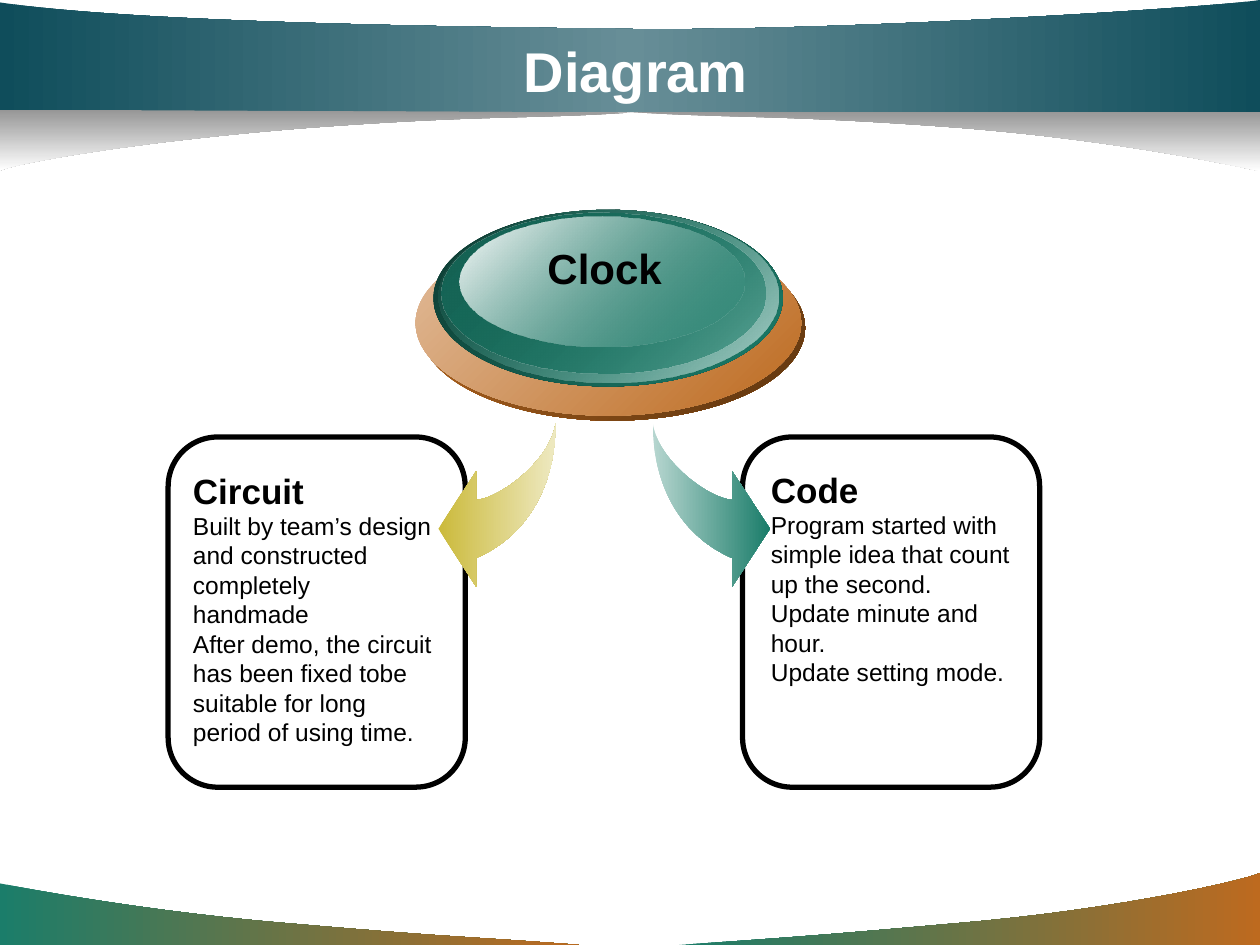
from lxml import etree
from pptx import Presentation
from pptx import util as u
from pptx.dml.color import RGBColor
from pptx.enum import shapes, text
from pptx.oxml import ns

WHITE = RGBColor(0xFF, 0xFF, 0xFF)
BLACK = RGBColor(0, 0, 0)
GRAY = RGBColor(0x96, 0x96, 0x96)
NAVY = RGBColor(0x0F, 0x4D, 0x5B)
STEEL = RGBColor(0x67, 0x8E, 0x97)
GREEN = RGBColor(0x1B, 0x7D, 0x6A)
PINE = RGBColor(0x0D, 0x3A, 0x31)
MOSS = RGBColor(0x15, 0x63, 0x54)
MINT = RGBColor(0xAF, 0xD2, 0xCB)
FOAM = RGBColor(0xB7, 0xD6, 0xD0)
RUST = RGBColor(0xBD, 0x6A, 0x1F)
BROWN = RGBColor(0x5C, 0x34, 0x0F)
SAND = RGBColor(0xE2, 0xBD, 0x9C)
GOLD = RGBColor(0xCB, 0xBA, 0x3B)
CREAM = RGBColor(0xEE, 0xE9, 0xC1)

WIDE, HIGH = 25.4, 19.05


class Painter:
    font = "Arial"

    def __init__(self, slide):
        self.shapes = slide.shapes

    def blend(self, shape, stops, angle):
        shape.shadow.inherit = False
        shape.line.fill.background()
        shape.fill.gradient()
        grad = shape.fill._xPr.find(ns.qn("a:gradFill"))
        grad.find(ns.qn("a:lin")).set("ang", str(angle * 60000))
        chain = grad.find(ns.qn("a:gsLst"))
        for old in list(chain):
            chain.remove(old)
        for index, (color, alpha) in enumerate(stops):
            place = 100000 * index // (len(stops) - 1)
            stop = etree.SubElement(chain, ns.qn("a:gs"), pos=str(place))
            tint = etree.SubElement(stop, ns.qn("a:srgbClr"), val=str(color))
            if alpha < 100:
                etree.SubElement(tint, ns.qn("a:alpha"), val=str(alpha * 1000))

    def curve(self, parts, colors, angle=0):
        dots = [(u.Cm(x), u.Cm(y)) for part in parts
                for x, y in zip(part[::2], part[1::2])]
        pen = self.shapes.build_freeform(*dots[0], scale=1.0)
        pen.add_line_segments(dots[1:], close=True)
        shape = pen.convert_to_shape()
        lines = iter(list(shape._element.iter(ns.qn("a:lnTo"))))
        for part in parts[1:]:
            line = next(lines)
            if len(part) == 6:
                bend = etree.Element(ns.qn("a:cubicBezTo"))
                line.addprevious(bend)
                for node in (line, next(lines), next(lines)):
                    bend.append(node[0])
                    node.getparent().remove(node)
        self.blend(shape, [(c, 100) for c in colors], angle)

    def preset(self, kind, spot):
        return self.shapes.add_shape(kind, *map(u.Cm, spot))

    def frame(self, spot):
        shape = self.preset(shapes.MSO_SHAPE.ROUNDED_RECTANGLE, spot)
        shape.shadow.inherit = False
        shape.fill.background()
        shape.line.color.rgb = BLACK
        shape.line.width = u.Pt(3)

    def oval(self, spot, first, last):
        self.blend(self.preset(shapes.MSO_SHAPE.OVAL, spot), [first, last], 45)

    def words(self, spot, lines, color=BLACK, center=False, wrap=True):
        body = self.shapes.add_textbox(*map(u.Cm, spot)).text_frame
        body.word_wrap = wrap
        body.vertical_anchor = text.MSO_ANCHOR.MIDDLE if center else text.MSO_ANCHOR.TOP
        for index, (line, size, bold) in enumerate(lines):
            para = body.add_paragraph() if index else body.paragraphs[0]
            para.alignment = text.PP_ALIGN.CENTER if center else text.PP_ALIGN.LEFT
            run = para.add_run()
            run.text = line
            run.font.name = self.font
            run.font.size = u.Pt(size)
            run.font.bold = bold
            run.font.color.rgb = color


def banner(art):
    art.curve([(11.68, HIGH), (9.75, 18.9, 9.09, 18.9, 5.89, 18.62),
               (2.69, 18.36, 0.03, 17.81, 0, 17.81), (0, HIGH)], [GREEN, RUST])
    art.curve([(13.69, HIGH), (15.6, 18.92, 16.41, 18.87, 19.53, 18.59),
               (22.66, 18.31, 25.15, 17.73, WIDE, 17.6), (WIDE, HIGH)], [GREEN, RUST])
    art.curve([(12.7, 2.26), (14.83, 2.39, 15.75, 2.31, 19.25, 2.57),
               (22.78, 2.84, 25.35, 3.45, WIDE, 3.45), (WIDE, 2.24)], [GRAY, WHITE], 90)
    art.curve([(0, 2.26), (WIDE, 2.26), (WIDE, 0),
               (24.49, 0.15, 16.59, 0.66, 12.37, 0.58),
               (8.15, 0.53, 2.57, 0.43, 0, 0.05)], [NAVY, STEEL, NAVY])
    art.curve([(12.7, 2.27), (10.57, 2.41, 9.86, 2.31, 6.32, 2.57),
               (2.79, 2.84, 0.28, 3.3, 0, 3.44), (0, 2.21)], [GRAY, WHITE], 90)
    art.words((1.92, 0.62, 21.8, 1.57), [("Diagram", 32, True)], WHITE, center=True)


def arrow(art, left, side, colors):
    bend = [(0, 0), (0, 1.32, 0.61, 2.29, 1.6, 2.72), (1.6, 3.3), (2.36, 2.13),
            (1.6, 0.97), (1.6, 1.55), (1.07, 1.5, 0.08, 0.71, 0, 0)]
    path = [tuple(8.53 + n if i % 2 else left + side * n for i, n in enumerate(part))
            for part in bend]
    art.curve(path, colors)


def clock(art):
    art.oval((8.46, 4.74, 7.77, 3.74), (RUST, 100), (BROWN, 100))
    art.oval((8.38, 4.64, 7.77, 3.74), (SAND, 100), (RUST, 100))
    art.oval((8.74, 4.23, 7.04, 3.56), (PINE, 100), (GREEN, 100))
    art.oval((8.84, 4.23, 6.86, 3.48), (GREEN, 0), (MINT, 100))
    art.oval((8.91, 4.29, 6.53, 3.25), (MOSS, 100), (GREEN, 48))
    art.oval((9.26, 4.36, 5.75, 2.62), (WHITE, 100), (GREEN, 38))
    art.words((10.78, 4.76, 2.82, 1.27), [("Clock", 24, True)], center=True, wrap=False)


def main():
    deck = Presentation()
    deck.slide_width, deck.slide_height = u.Cm(WIDE), u.Cm(HIGH)
    art = Painter(deck.slides.add_slide(deck.slide_layouts[6]))
    banner(art)
    for left in (14.97, 3.39):
        art.frame((left, 8.81, 5.99, 7.06))
    art.words((3.64, 9.33, 5.33, 5.84), [
        ("Circuit", 20, True),
        ("Built by team’s design and constructed completely handmade", 14, False),
        ("After demo, the circuit has been fixed tobe suitable for long "
         "period of using time.", 14, False)])
    arrow(art, 11.2, -1, [GOLD, CREAM])
    arrow(art, 13.16, 1, [FOAM, GREEN])
    clock(art)
    art.words((15.29, 9.31, 5.66, 4.67), [
        ("Code", 20, True),
        ("Program started with simple idea that count up the second.", 14, False),
        ("Update minute and hour.", 14, False),
        ("Update setting mode.", 14, False)])
    deck.save("out.pptx")


if __name__ == "__main__":
    main()
